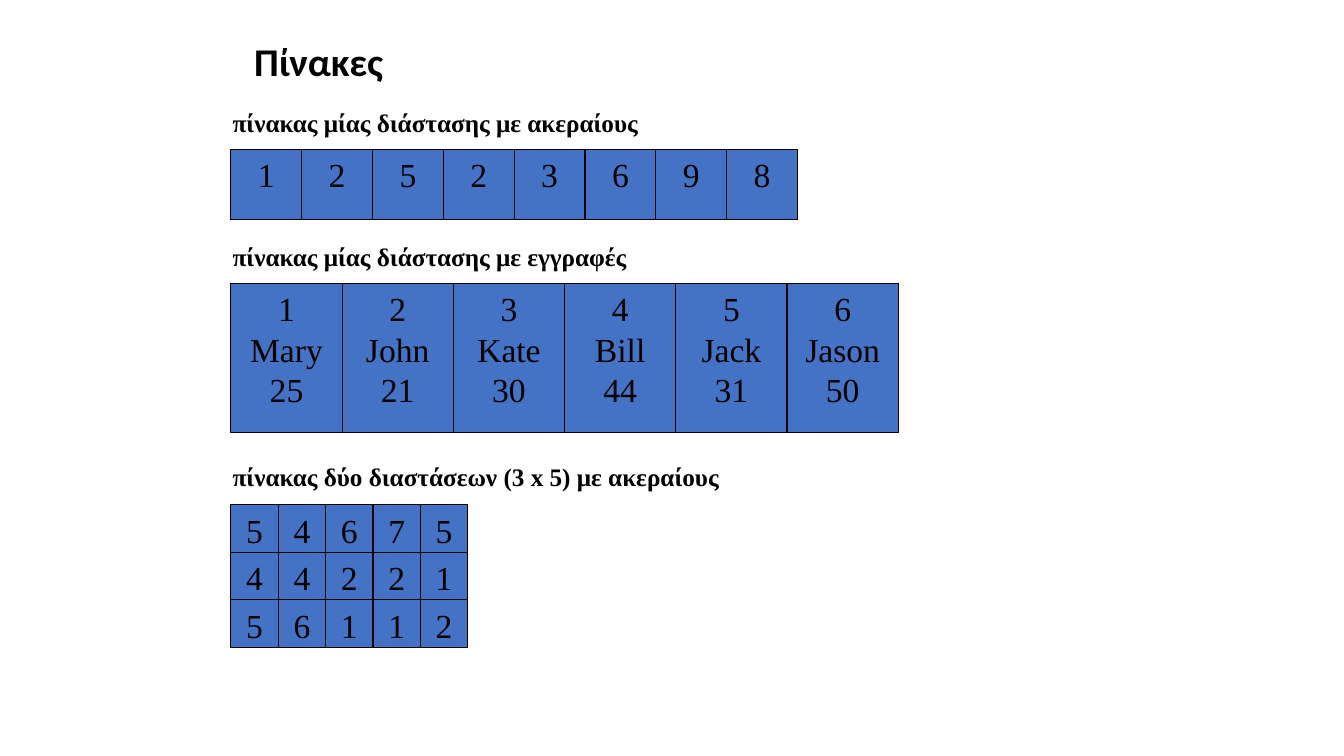
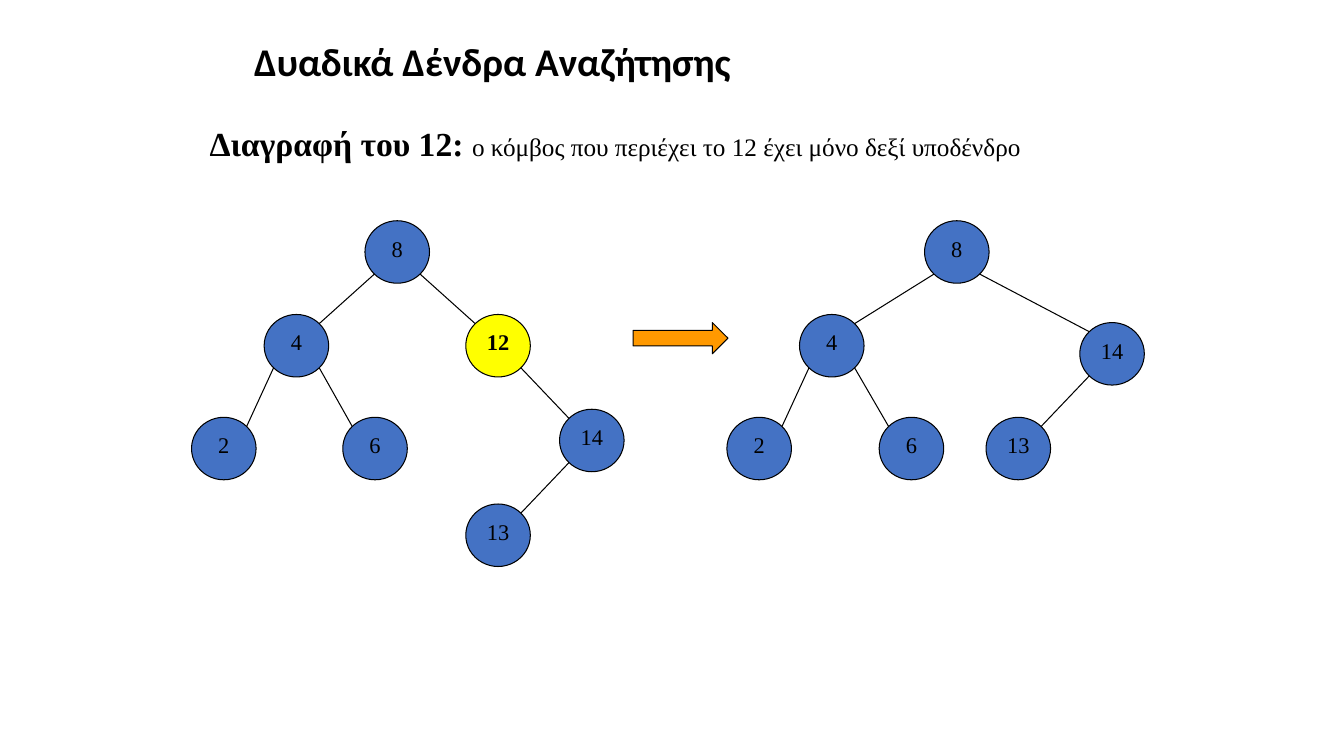
from math import cos, pi

from lxml.etree import SubElement
from pptx import Presentation
from pptx.dml.color import RGBColor
from pptx.enum.shapes import MSO_CONNECTOR as CONNECTOR, MSO_SHAPE as SHAPE
from pptx.enum.text import MSO_ANCHOR as ANCHOR, MSO_AUTO_SIZE as AUTO_SIZE, PP_ALIGN as ALIGN
from pptx.oxml.ns import qn
from pptx.util import Inches, Pt

BLACK = RGBColor(0x00, 0x00, 0x00)
BLUE = RGBColor(0x44, 0x72, 0xC4)
YELLOW = RGBColor(0xFF, 0xFF, 0x00)
ORANGE = RGBColor(0xFF, 0x99, 0x00)
TITLE_FONT = "Calibri"
BODY_FONT = "Times New Roman"

prs = Presentation()
prs.slide_width, prs.slide_height = Inches(13.33), Inches(7.5)


def add_titled_slide(heading):
    slide = prs.slides.add_slide(prs.slide_layouts[5])
    title = slide.shapes.title
    title.left, title.top = Inches(2.42), Inches(0.36)
    title.width, title.height = Inches(8.5), Inches(0.55)
    title.text = heading
    title.text_frame.vertical_anchor = ANCHOR.MIDDLE
    line = title.text_frame.paragraphs[0]
    line.alignment = ALIGN.LEFT
    line.line_spacing = 0.9
    line.font.name, line.font.size = TITLE_FONT, Pt(28)
    line.font.bold, line.font.color.rgb = True, BLACK
    return slide


def add_box(slide, kind, left, top, width, height, fill, text="", size=24, bold=False):
    box = slide.shapes.add_shape(kind, Inches(left), Inches(top), Inches(width), Inches(height))
    box.shadow.inherit = False
    box.fill.solid()
    box.fill.fore_color.rgb = fill
    box.line.color.rgb, box.line.width = BLACK, Pt(0.75)
    box.text_frame.text = text
    box.text_frame.vertical_anchor = ANCHOR.TOP
    for line in box.text_frame.paragraphs:
        line.alignment = ALIGN.CENTER
        line.font.name, line.font.size = BODY_FONT, Pt(size)
        line.font.bold, line.font.color.rgb = bold, BLACK


# Slide 1: three arrays, each a caption over a grid of cells
arrays_slide = add_titled_slide("Πίνακες")
GRID_LEFT = 2.29
# caption, caption top, caption width, grid top, grid width, grid height, rows
arrays = [
    ("πίνακας μίας διάστασης με ακεραίους", 1.02, 4.27, 1.48, 5.62, 0.7,
     ["1 2 5 2 3 6 9 8".split()]),
    ("πίνακας μίας διάστασης με εγγραφές", 2.34, 4.15, 2.81, 6.62, 1.48,
     [["1\nMary\n25", "2\nJohn\n21", "3\nKate\n30", "4\nBill\n44", "5\nJack\n31", "6\nJason\n50"]]),
    ("πίνακας δύο διαστάσεων (3 x 5) με ακεραίους", 4.53, 5.07, 5.01, 2.35, 1.41,
     ["4 4 2 2 1".split() if row == 1 else values.split()
      for row, values in enumerate(["5 4 6 7 5", "4 4 2 2 1", "5 6 1 1 2"])]),
]
for caption, caption_top, caption_width, grid_top, grid_width, grid_height, rows in arrays:
    cell_width, cell_height = grid_width / len(rows[0]), grid_height / len(rows)
    for row, values in enumerate(rows):
        for column, value in enumerate(values):
            add_box(arrays_slide, SHAPE.RECTANGLE, GRID_LEFT + column * cell_width,
                    grid_top + row * cell_height, cell_width, cell_height, BLUE, value)
    label = arrays_slide.shapes.add_textbox(
        Inches(2.21), Inches(caption_top), Inches(caption_width), Inches(0.4)).text_frame
    label.word_wrap, label.auto_size = False, AUTO_SIZE.SHAPE_TO_FIT_TEXT
    label.text = caption
    font = label.paragraphs[0].font
    font.name, font.size, font.bold, font.color.rgb = BODY_FONT, Pt(18), True, BLACK

# Slide 2: deletion from a binary search tree
tree_slide = add_titled_slide("Δυαδικά Δένδρα Αναζήτησης")
task = tree_slide.shapes.add_textbox(
    Inches(1.98), Inches(1.17), Inches(8.33), Inches(0.51)).text_frame
task.word_wrap, task.auto_size = False, AUTO_SIZE.SHAPE_TO_FIT_TEXT
sentence = task.paragraphs[0]
sentence.font.name, sentence.font.color.rgb = BODY_FONT, BLACK
for text, size, bold in [("Διαγραφή του 12: ", 24, True),
                         ("ο κόμβος που περιέχει το 12 έχει μόνο δεξί υποδένδρο", 18, False)]:
    part = sentence.add_run()
    part.text = text
    part.font.size, part.font.bold = Pt(size), bold

# Trees before and after: node positions by key, then parent-child pairs
NODE_WIDTH, NODE_HEIGHT = 0.64, 0.62
DELETED = 12
trees = [
    ({8: (3.62, 2.19), 4: (2.62, 3.12), 12: (4.62, 3.12), 2: (1.9, 4.14),
      6: (3.4, 4.14), 14: (5.55, 4.06), 13: (4.62, 5)},
     [(8, 4), (8, 12), (4, 2), (4, 6), (12, 14), (14, 13)]),
    ({8: (9.17, 2.19), 4: (7.93, 3.12), 14: (10.71, 3.2), 2: (7.21, 4.14),
      6: (8.72, 4.14), 13: (9.78, 4.14)},
     [(8, 4), (8, 14), (4, 2), (4, 6), (14, 13)]),
]
# Edges meet the ellipses at 45 degrees
reach_x, reach_y = NODE_WIDTH / 2 * cos(pi / 4), NODE_HEIGHT / 2 * cos(pi / 4)
for nodes, edges in trees:
    for key, (left, top) in nodes.items():
        add_box(tree_slide, SHAPE.OVAL, left, top, NODE_WIDTH, NODE_HEIGHT,
                YELLOW if key == DELETED else BLUE, str(key), 16, key == DELETED)
    for parent, child in edges:
        side = -1 if child < parent else 1
        (parent_x, parent_y), (child_x, child_y) = [
            (nodes[key][0] + NODE_WIDTH / 2, nodes[key][1] + NODE_HEIGHT / 2)
            for key in (parent, child)]
        edge = tree_slide.shapes.add_connector(
            CONNECTOR.STRAIGHT,
            Inches(parent_x + side * reach_x), Inches(parent_y + reach_y),
            Inches(child_x - side * reach_x), Inches(child_y - reach_y))
        edge.line.color.rgb, edge.line.width = BLACK, Pt(0.75)
        SubElement(edge._element.spPr, qn("a:effectLst"))

# Arrow from the first tree to the second
add_box(tree_slide, SHAPE.RIGHT_ARROW, 6.28, 3.2, 0.94, 0.31, ORANGE)

prs.save("out.pptx")
